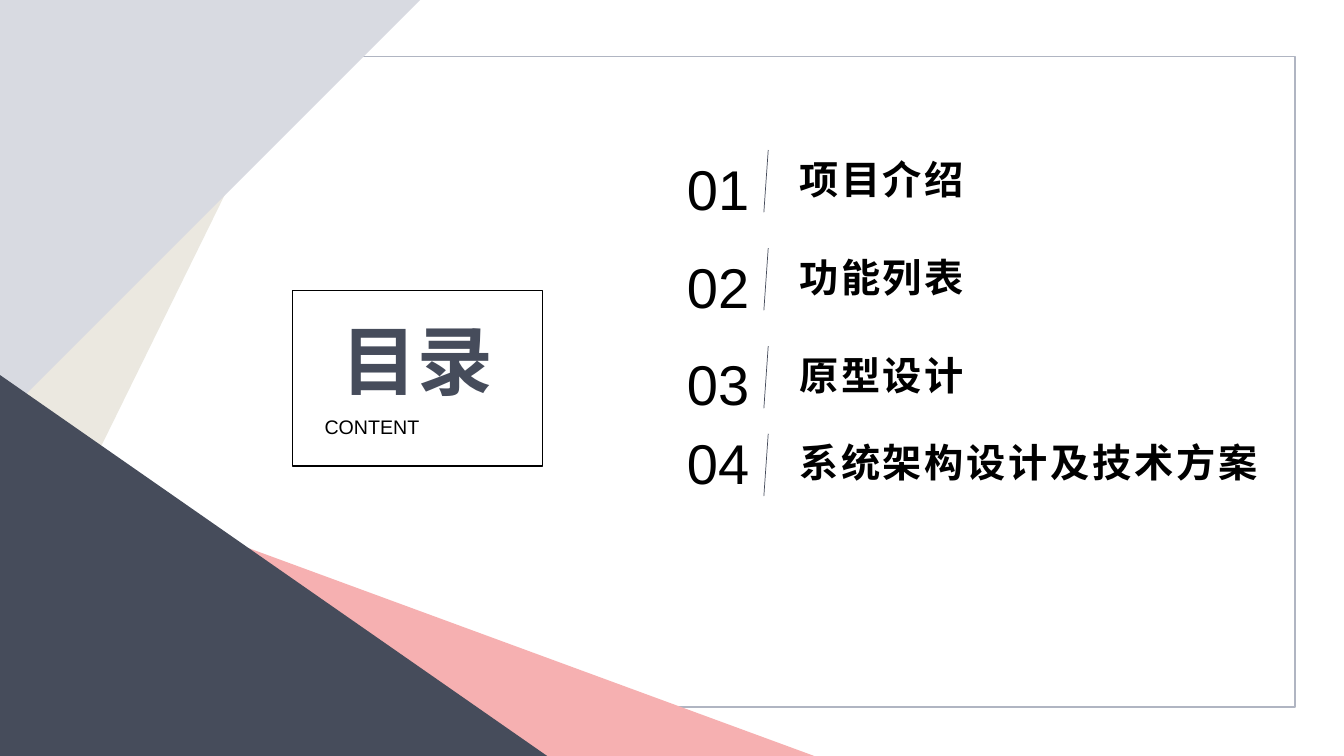
import dataclasses

import pptx
import pptx.dml.color
import pptx.enum.shapes
import pptx.enum.text
import pptx.oxml.ns
import pptx.util

Cm = pptx.util.Cm
Align = pptx.enum.text.PP_ALIGN
RGB = pptx.dml.color.RGBColor.from_string


@dataclasses.dataclass(frozen=True)
class Theme:
    slate: RGB = RGB("464C5B")
    mist: RGB = RGB("D8DAE1")
    sand: RGB = RGB("EBE8E0")
    rose: RGB = RGB("F6B0B1")
    frame: RGB = RGB("B0B5C2")
    black: RGB = RGB("000000")
    latin: str = "Arial"
    chinese: str = "Noto Sans CJK SC"
    title_size: int = 54
    number_size: int = 40
    heading_size: int = 28
    caption_size: int = 14


theme = Theme()


def write_text(shape, box, text, size, font, color, align, bold=False, wrap=True, inset=True, spacing=0):
    shape.left, shape.top, shape.width, shape.height = [Cm(length) for length in box]
    frame = shape.text_frame
    frame.word_wrap = wrap
    frame.auto_size = pptx.enum.text.MSO_AUTO_SIZE.SHAPE_TO_FIT_TEXT
    frame.vertical_anchor = pptx.enum.text.MSO_ANCHOR.TOP
    if not inset:
        frame.margin_left = frame.margin_top = frame.margin_right = frame.margin_bottom = 0
    paragraph = frame.paragraphs[0]
    paragraph.alignment = align
    run = paragraph.add_run()
    run.text = text
    run.font.size = pptx.util.Pt(size)
    run.font.bold = bold
    run.font.name = font
    run.font.color.rgb = color
    properties = run.font._element
    east_asian = pptx.oxml.parse_xml(f'<a:ea {pptx.oxml.ns.nsdecls("a")} typeface="{font}"/>')
    properties.find(pptx.oxml.ns.qn("a:latin")).addnext(east_asian)
    if spacing:
        properties.set("spc", str(spacing * 100))


def add_outline_box(left, top, width, height, color):
    box = slide.shapes.add_shape(
        pptx.enum.shapes.MSO_SHAPE.RECTANGLE, Cm(left), Cm(top), Cm(width), Cm(height)
    )
    box.shadow.inherit = False
    box.fill.background()
    box.line.color.rgb = color
    box.line.width = pptx.util.Pt(1)


presentation = pptx.Presentation()
presentation.slide_width = Cm(33.87)
presentation.slide_height = Cm(19.05)
slide = presentation.slides.add_slide(presentation.slide_layouts[5])

add_outline_box(1.24, 1.42, 31.4, 16.4, theme.frame)

triangles = [
    ([(0, 0), (8.08, 0), (0, 16.43)], theme.sand),
    ([(0, 0), (10.59, 0), (0, 10.59)], theme.mist),
    ([(0, 19.05), (0, 11.51), (20.52, 19.05)], theme.rose),
    ([(0, 19.05), (0, 9.45), (13.79, 19.05)], theme.slate),
]
for corners, color in triangles:
    points = [(Cm(x), Cm(y)) for x, y in corners]
    builder = slide.shapes.build_freeform(*points[0])
    builder.add_line_segments(points[1:], close=True)
    triangle = builder.convert_to_shape()
    triangle.shadow.inherit = False
    triangle.fill.solid()
    triangle.fill.fore_color.rgb = color
    triangle.line.fill.background()

write_text(slide.shapes.title, (8.59, 7.92, 3.84, 2.31), "目录", theme.title_size,
           theme.chinese, theme.slate, Align.CENTER, bold=True, wrap=False, inset=False)
caption = slide.shapes.add_textbox(0, 0, 0, 0)
write_text(caption, (8.18, 10.46, 4.7, 0.61), "CONTENT", theme.caption_size,
           theme.latin, theme.black, Align.JUSTIFY, inset=False)
add_outline_box(7.37, 7.32, 6.3, 4.42, theme.black)

chapters = [
    ("01", "项目介绍", 3.78, 3.78),
    ("02", "功能列表", 6.25, 6.23),
    ("03", "原型设计", 8.72, 8.69),
    ("04", "系统架构设计及技术方案", 10.93, 10.67),
]
for number, heading, top, number_top in chapters:
    heading_box = slide.shapes.add_textbox(0, 0, 0, 0)
    write_text(heading_box, (19.89, top, 12.32, 1.45), heading, theme.heading_size,
               theme.chinese, theme.black, Align.LEFT, bold=True, spacing=2)
    number_box = slide.shapes.add_textbox(0, 0, 0, 0)
    write_text(number_box, (17.02, number_top, 2.11, 1.96), number, theme.number_size,
               theme.latin, theme.black, Align.RIGHT, wrap=False)
    divider = slide.shapes.add_connector(
        pptx.enum.shapes.MSO_CONNECTOR.STRAIGHT, Cm(19.25), Cm(top + 1.57), Cm(19.36), Cm(top)
    )
    divider.line.color.rgb = theme.slate
    divider.line.width = pptx.util.Pt(0.5)
    divider._element.spPr.append(pptx.oxml.parse_xml(f'<a:effectLst {pptx.oxml.ns.nsdecls("a")}/>'))

presentation.save("out.pptx")
